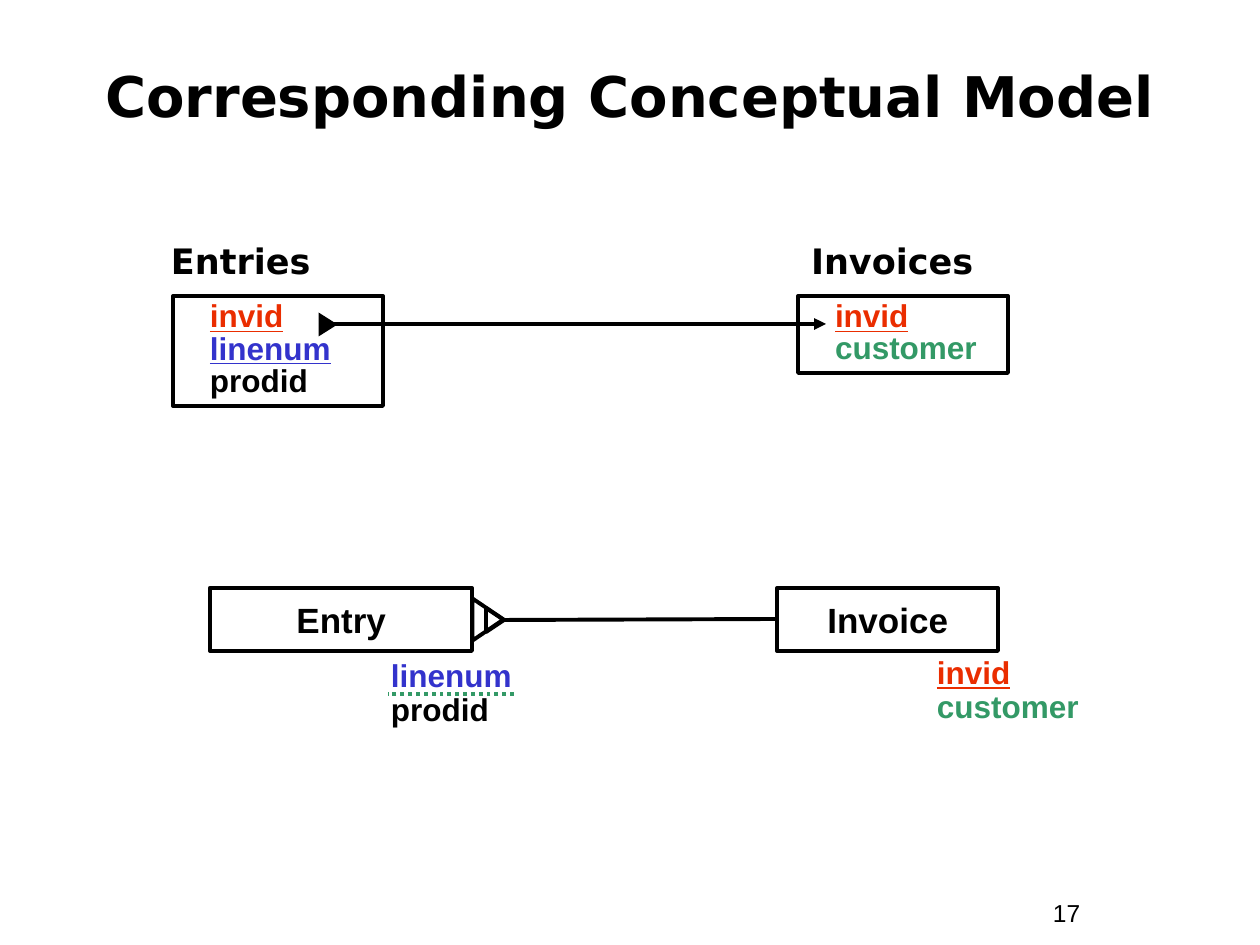
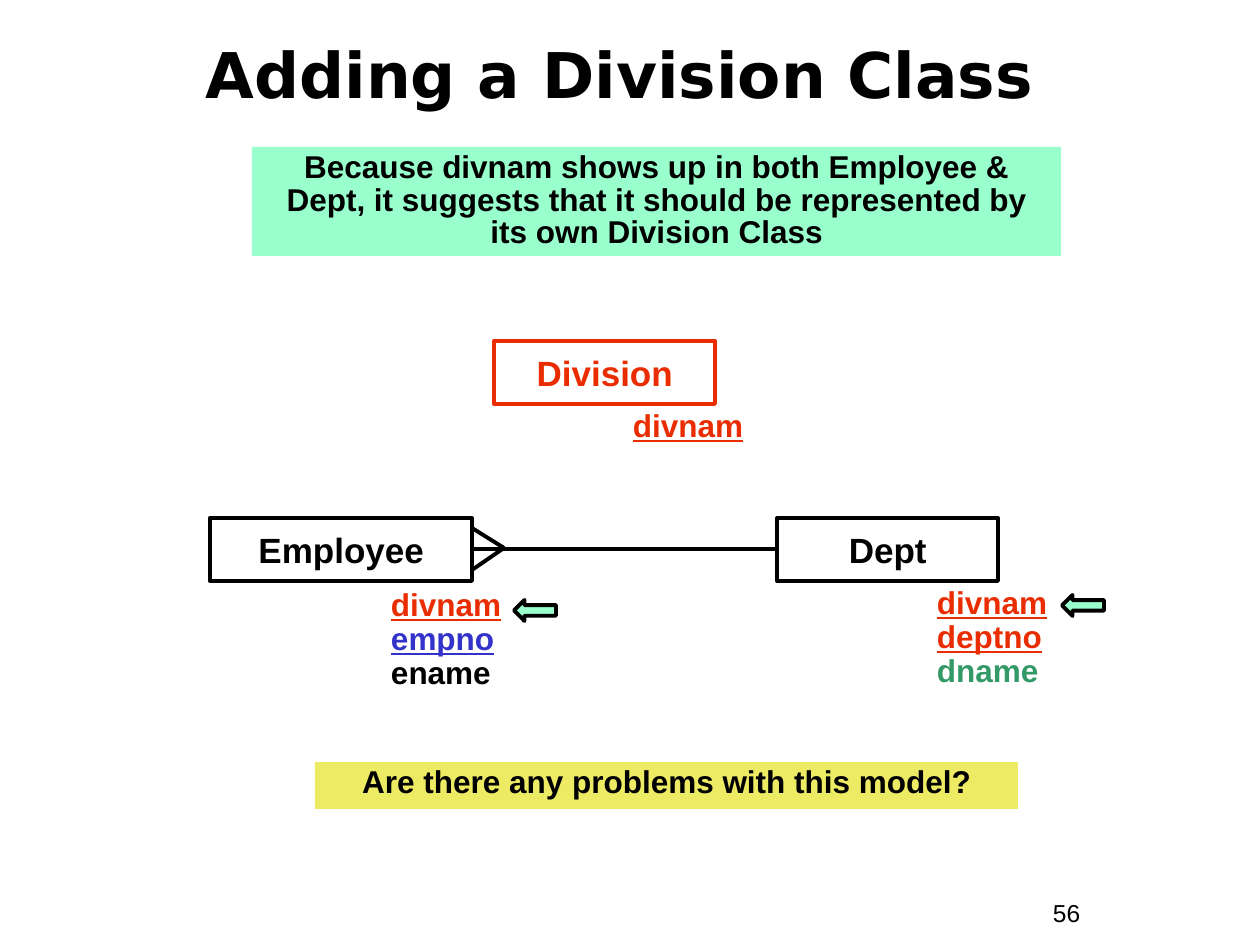
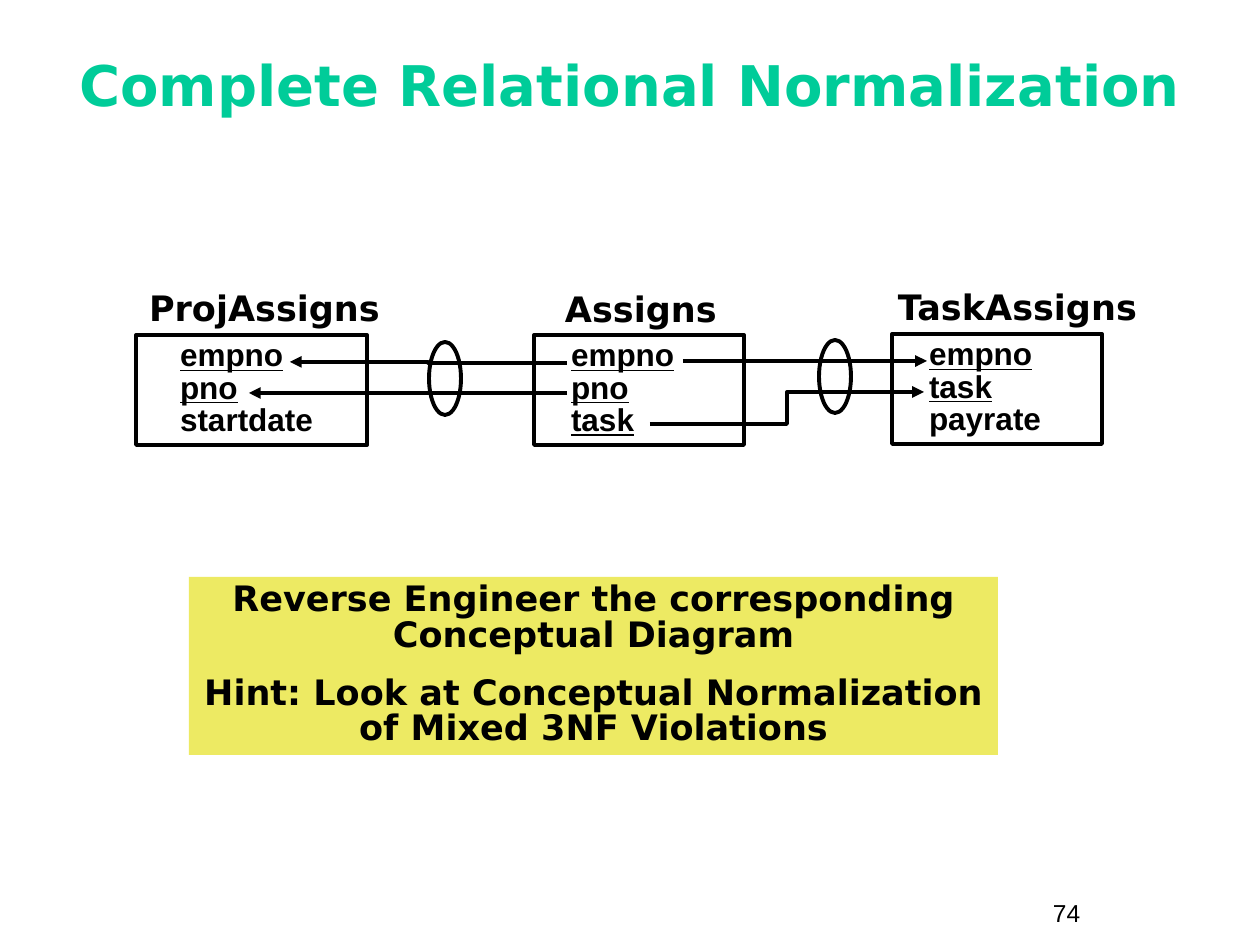
from lxml import etree
from pptx import Presentation
from pptx.dml.color import RGBColor
from pptx.enum.dml import MSO_LINE
from pptx.enum.shapes import MSO_CONNECTOR, MSO_SHAPE
from pptx.enum.text import MSO_ANCHOR, MSO_AUTO_SIZE, PP_ALIGN
from pptx.oxml.ns import qn
from pptx.util import Emu, Pt

RECT, OVAL = MSO_SHAPE.RECTANGLE, MSO_SHAPE.OVAL
TRIANGLE, LEFT_ARROW = MSO_SHAPE.ISOSCELES_TRIANGLE, MSO_SHAPE.LEFT_ARROW
STRAIGHT, ELBOW = MSO_CONNECTOR.STRAIGHT, MSO_CONNECTOR.ELBOW
DOTTED = MSO_LINE.ROUND_DOT
CENTER, LEFT = PP_ALIGN.CENTER, PP_ALIGN.LEFT
MIDDLE, TOP = MSO_ANCHOR.MIDDLE, MSO_ANCHOR.TOP

PX_PER_INCH = 126
COLORS = {
    "black": "000000", "red": "EA2D00", "blue": "3333CC", "green": "339966",
    "teal": "00CC99", "mint": "99FFCC", "yellow": "EDEA63",
}
HEADING, BODY = "DejaVu Sans", "Arial"
LINE_WIDTH = Pt(2.25)
INSET, TABLE_INSET = 13, 37
ENTITY_H, ROW_TABLE_W = 63, 210

# Text styles: font settings and paragraph settings
STYLES = {
    "title": ({"name": HEADING, "size": Pt(32), "bold": True},
              {"alignment": CENTER, "line_spacing": 0.85}),
    "label": ({"name": HEADING, "size": Pt(20), "bold": True},
              {"alignment": LEFT}),
    "entity": ({"name": BODY, "size": Pt(20), "bold": True},
               {"alignment": CENTER}),
    "columns": ({"name": BODY, "size": Pt(18), "bold": True},
                {"alignment": LEFT, "line_spacing": 0.85}),
    "attributes": ({"name": BODY, "size": Pt(18), "bold": True},
                   {"alignment": LEFT, "line_spacing": 0.9}),
    "note": ({"name": BODY, "size": Pt(18), "bold": True},
             {"alignment": CENTER, "line_spacing": 0.85}),
    "page": ({"name": BODY, "size": Pt(14), "bold": False},
             {"alignment": LEFT}),
}


def px(n):
    return Emu(round(n * 914400 / PX_PER_INCH))


def rgb(name):
    return RGBColor.from_string(COLORS[name])


def set_all(target, values):
    for key, value in values.items():
        setattr(target, key, value)


def write(sp, rows, style, anchor=TOP, wrap=True, left=INSET, gap=0, **font):
    """Fill a shape with rows of (text, colour, underlined)."""
    font_values, para_values = STYLES[style]
    tf = sp.text_frame
    set_all(tf, {"auto_size": MSO_AUTO_SIZE.NONE, "word_wrap": wrap,
                 "vertical_anchor": anchor, "margin_left": px(left)})
    for i, (text, color, underline) in enumerate(rows):
        p = tf.paragraphs[0] if i == 0 else tf.add_paragraph()
        set_all(p, para_values)
        if i and gap:
            p.space_before = Pt(gap)
        r = p.add_run()
        r.text = text
        set_all(r.font, {**font_values, **font, "underline": underline})
        r.font.color.rgb = rgb(color)


def add_text(s, box, rows, style):
    sp = s.shapes.add_textbox(*map(px, box))
    write(sp, rows, style)


def add_shape(s, kind, box, fill=None, line="black", rotation=0):
    sp = s.shapes.add_shape(kind, *map(px, box))
    sp.shadow.inherit = False
    sp.rotation = rotation
    if fill:
        sp.fill.solid()
        sp.fill.fore_color.rgb = rgb(fill)
    else:
        sp.fill.background()
    if line:
        sp.line.color.rgb = rgb(line)
        sp.line.width = LINE_WIDTH
    else:
        sp.line.fill.background()
    return sp


def add_line(s, start, end, kind=STRAIGHT, color="black", arrow=False, dash=None):
    cx = s.shapes.add_connector(kind, *map(px, start + end))
    cx.line.color.rgb = rgb(color)
    cx.line.width = LINE_WIDTH
    if dash:
        cx.line.dash_style = dash
    if arrow:
        etree.SubElement(cx.line._get_or_add_ln(), qn("a:tailEnd"), type="triangle")
    etree.SubElement(cx._element.spPr, qn("a:effectLst"))


def add_slide(prs, title, box, page, size=32, color="black"):
    s = prs.slides.add_slide(prs.slide_layouts[5])
    sp = s.shapes.title
    set_all(sp, dict(zip(("left", "top", "width", "height"), map(px, box))))
    write(sp, [(title, color, False)], "title", MIDDLE, size=Pt(size))
    add_text(s, (1040, 892, 116, 43), [(page, "black", False)], "page")
    return s


def add_label(s, x, y, w, text):
    add_text(s, (x, y, w, 55), [(text, "black", False)], "label")


def add_table_box(s, x, y, h, rows, w=ROW_TABLE_W, left=TABLE_INSET):
    """Relational table: a frame listing its columns."""
    write(add_shape(s, RECT, (x, y, w, h)), rows, "columns", left=left)


def add_entity(s, x, y, w, name, color="black"):
    sp = add_shape(s, RECT, (x, y, w, ENTITY_H), line=color)
    write(sp, [(name, color, False)], "entity", MIDDLE, wrap=False)


def add_note(s, box, lines, fill, **font):
    sp = add_shape(s, RECT, box, fill, line=None)
    write(sp, [(text, "black", False) for text in lines], "note", gap=12.5, **font)


def conceptual_model(prs):
    s = add_slide(prs, "Corresponding Conceptual Model", (42, 42, 1176, 116), "17")

    # Relational tables
    add_label(s, 158, 233, 335, "Entries")
    add_table_box(s, 173, 296, 110, [("invid", "red", True),
                                     ("linenum", "blue", True),
                                     ("prodid", "black", False)])
    add_label(s, 798, 233, 210, "Invoices")
    add_table_box(s, 798, 296, 77, [("invid", "red", True),
                                    ("customer", "green", False)])
    add_line(s, (321, 324), (826, 324), arrow=True)
    add_shape(s, TRIANGLE, (316, 315, 24, 19), "black", None, rotation=90)

    # Conceptual classes
    add_entity(s, 210, 588, 262, "Entry")
    add_entity(s, 777, 588, 221, "Invoice")
    add_line(s, (775, 619), (504, 620))
    for box in ((467, 604, 42, 31), (483, 611, 24, 18)):
        add_shape(s, TRIANGLE, box, rotation=90)
    add_text(s, (378, 654, 210, 81), [("linenum", "blue", False),
                                      ("prodid", "black", False)], "attributes")
    add_line(s, (514, 694), (388, 694), color="green", dash=DOTTED)
    add_text(s, (924, 651, 179, 81), [("invid", "red", True),
                                      ("customer", "green", False)], "attributes")


def division_class(prs):
    s = add_slide(prs, "Adding a Division Class ", (32, 21, 1197, 116), "56", 36)
    add_note(s, (252, 147, 809, 109),
             ["Because divnam shows up in both Employee & Dept, it suggests "
              "that it should be represented by its own Division Class"], "mint")

    # Classes and their attributes
    add_entity(s, 494, 341, 221, "Division", "red")
    add_text(s, (620, 404, 179, 47), [("divnam", "red", True)], "attributes")
    add_entity(s, 210, 518, 262, "Employee")
    add_text(s, (378, 583, 210, 115), [("divnam", "red", True),
                                       ("empno", "blue", True),
                                       ("ename", "black", False)], "attributes")
    add_entity(s, 777, 518, 221, "Dept")
    add_text(s, (924, 581, 179, 115), [("divnam", "red", True),
                                       ("deptno", "red", True),
                                       ("dname", "green", False)], "attributes")

    # Association with its crow's foot
    add_line(s, (775, 549), (474, 549))
    for y in (528, 570):
        add_line(s, (504, 548), (472, y))

    # Pointers to the shared attribute
    for x, y in ((514, 600), (1062, 595)):
        add_shape(s, LEFT_ARROW, (x, y, 42, 21), "mint")

    add_note(s, (315, 762, 703, 47), ["Are there any problems with this model?"],
             "yellow")


def relational_normalization(prs):
    s = add_slide(prs, "Complete Relational Normalization", (42, 42, 1176, 94),
                  "74", color="teal")

    # Tables
    add_label(s, 136, 280, 271, "ProjAssigns")
    add_table_box(s, 136, 335, 110, [("empno", "black", True),
                                     ("pno", "black", True),
                                     ("startdate", "black", False)], 231, 44)
    add_label(s, 552, 281, 190, "Assigns")
    add_table_box(s, 534, 335, 110, [(name, "black", True)
                                     for name in ("empno", "pno", "task")])
    add_label(s, 885, 279, 280, "TaskAssigns")
    add_table_box(s, 892, 334, 110, [("empno", "black", True),
                                     ("task", "black", True),
                                     ("payrate", "black", False)])

    # References, grouped by rings
    for start, end, kind in (((567, 363), (290, 362), ELBOW),
                             ((567, 393), (249, 393), STRAIGHT),
                             ((683, 361), (927, 361), STRAIGHT),
                             ((650, 424), (924, 392), ELBOW)):
        add_line(s, start, end, kind, arrow=True)
    for x, y in ((429, 342), (819, 340)):
        add_shape(s, OVAL, (x, y, 32, 73))

    add_note(s, (189, 577, 809, 178),
             ["Reverse Engineer the corresponding Conceptual Diagram",
              "Hint: Look at Conceptual Normalization of Mixed 3NF Violations"],
             "yellow", name=HEADING, size=Pt(20))


def main():
    prs = Presentation()
    prs.slide_width, prs.slide_height = px(1260), px(945)
    conceptual_model(prs)
    division_class(prs)
    relational_normalization(prs)
    prs.save("out.pptx")


if __name__ == "__main__":
    main()
